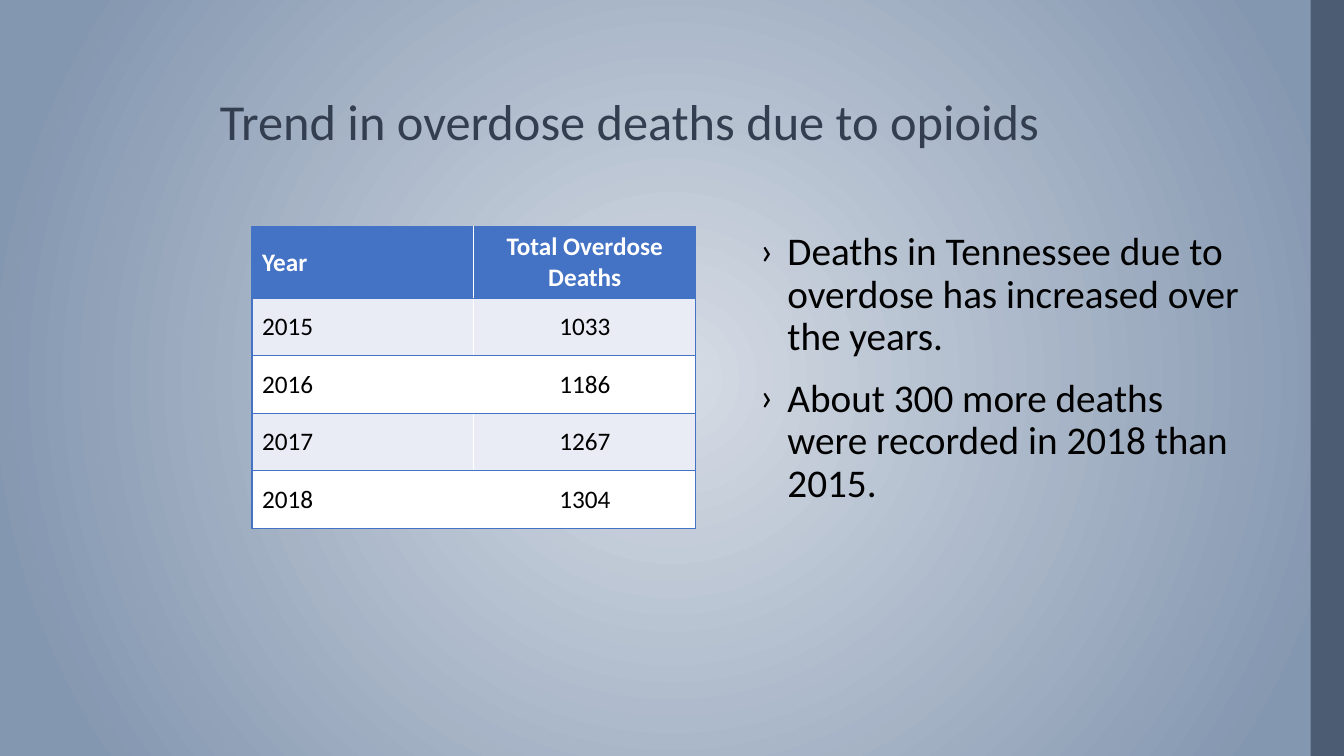
from pptx import Presentation
from pptx.dml.color import RGBColor
from pptx.enum.shapes import MSO_SHAPE as Shape
from pptx.enum.text import MSO_ANCHOR as Anchor, MSO_AUTO_SIZE as AutoSize, PP_ALIGN as Align
from pptx.oxml import parse_xml
from pptx.oxml.ns import nsdecls
from pptx.util import Inches, Pt

WIDTH, HEIGHT = 13.33, 7.5
CONTENT_TOP = 0.3 * HEIGHT
HEADER_HEIGHT, ROW_HEIGHT, COLUMN_WIDTH = 0.7, 0.57, 2.2
BLUE, BAND, WHITE, BLACK = "4472C4", "E9EBF5", "FFFFFF", "000000"

TITLE = "Trend in overdose deaths due to opioids"
DEATHS = [
    ("Year", "Total Overdose Deaths"),
    ("2015", "1033"),
    ("2016", "1186"),
    ("2017", "1267"),
    ("2018", "1304"),
]
FINDINGS = [
    "Deaths in Tennessee due to overdose has increased over the years.",
    "About 300 more deaths were recorded in 2018 than 2015.",
]


def apply(target, values):
    for name, value in values.items():
        setattr(target, name, value)


def box(left, top, width, height):
    names = ("left", "top", "width", "height")
    return dict(zip(names, map(Inches, (left, top, width, height))))


def fill_solid(fill, color):
    fill.solid()
    fill.fore_color.rgb = RGBColor.from_string(color)


def write(paragraph, text, size, color, bold=False, **layout):
    run = paragraph.add_run()
    run.text = text
    apply(run.font, {"name": "Calibri", "size": Pt(size), "bold": bold})
    run.font.color.rgb = RGBColor.from_string(color)
    apply(paragraph, layout)


def set_background(slide, center, edge):
    slide._element.cSld.insert(0, parse_xml(
        f'<p:bg {nsdecls("p", "a")}><p:bgPr><a:gradFill rotWithShape="1"><a:gsLst>'
        f'<a:gs pos="0"><a:srgbClr val="{center}"/></a:gs>'
        f'<a:gs pos="90000"><a:srgbClr val="{edge}"/></a:gs></a:gsLst>'
        '<a:path path="circle"><a:fillToRect l="50000" t="50000" r="50000" b="50000"/></a:path>'
        '</a:gradFill><a:effectLst/></p:bgPr></p:bg>'))


def add_side_bar(slide, color, opacity):
    bar = slide.shapes.add_shape(Shape.RECTANGLE, *box(13, 0, WIDTH - 13, HEIGHT).values())
    bar.shadow.inherit = False
    bar.line.fill.background()
    fill_solid(bar.fill, color)
    solid_color = bar._element.spPr.find(".//{*}srgbClr")
    solid_color.append(parse_xml(f'<a:alpha {nsdecls("a")} val="{opacity * 1000}"/>'))


def fill_title(title):
    apply(title, box(2.08, 0.19, 10.36, 1.36))
    apply(title.text_frame, {"vertical_anchor": Anchor.BOTTOM, "auto_size": AutoSize.NONE})
    write(title.text_frame.paragraphs[0], TITLE, 36, "333F50",
          alignment=Align.LEFT, line_spacing=0.9)


def fill_list(body, items):
    apply(body, box(7.44, CONTENT_TOP, 5, 2.92))
    frame = body.text_frame
    apply(frame, {"vertical_anchor": Anchor.TOP, "auto_size": AutoSize.NONE})
    for index, item in enumerate(items):
        paragraph = frame.add_paragraph() if index else frame.paragraphs[0]
        write(paragraph, item, 28, BLACK, line_spacing=0.9, space_before=Pt(14))
        properties = paragraph._p.get_or_add_pPr()
        properties.set("marL", str(Inches(0.27)))
        properties.set("indent", str(-Inches(0.27)))
        properties.append(parse_xml(f'<a:buFont {nsdecls("a")} typeface="Calibri"/>'))
        properties.append(parse_xml(f'<a:buChar {nsdecls("a")} char="›"/>'))


def add_borders(cell, sides):
    properties = cell._tc.get_or_add_tcPr()
    for index, side in enumerate(sides):
        properties.insert(index, parse_xml(
            f'<a:ln{side} {nsdecls("a")} w="12700"><a:solidFill>'
            f'<a:srgbClr val="{BLUE}"/></a:solidFill></a:ln{side}>'))


def add_deaths_table(slide, rows):
    height = HEADER_HEIGHT + ROW_HEIGHT * (len(rows) - 1)
    place = box(2.5, CONTENT_TOP, 2 * COLUMN_WIDTH, height)
    table = slide.shapes.add_table(len(rows), 2, *place.values()).table
    for column in table.columns:
        column.width = Inches(COLUMN_WIDTH)
    for row_index, row in enumerate(rows):
        header = row_index == 0
        table.rows[row_index].height = Inches(HEADER_HEIGHT if header else ROW_HEIGHT)
        fill = BLUE if header else BAND if row_index % 2 else WHITE
        for column_index, text in enumerate(row):
            cell = table.cell(row_index, column_index)
            cell.vertical_anchor = Anchor.MIDDLE
            fill_solid(cell.fill, fill)
            write(cell.text_frame.paragraphs[0], text, 18, WHITE if header else BLACK,
                  bold=header, alignment=Align.CENTER if column_index else Align.LEFT)
            add_borders(cell, "RTB" if column_index else "LTB")


def main():
    presentation = Presentation()
    apply(presentation, {"slide_width": Inches(WIDTH), "slide_height": Inches(HEIGHT)})
    slide = presentation.slides.add_slide(presentation.slide_layouts[1])

    # Backdrop
    set_background(slide, "D6DCE5", "8497B0")
    add_side_bar(slide, "44546A", 87)

    # Content
    fill_title(slide.shapes.title)
    add_deaths_table(slide, DEATHS)
    fill_list(slide.placeholders[1], FINDINGS)

    presentation.save("out.pptx")


if __name__ == "__main__":
    main()
